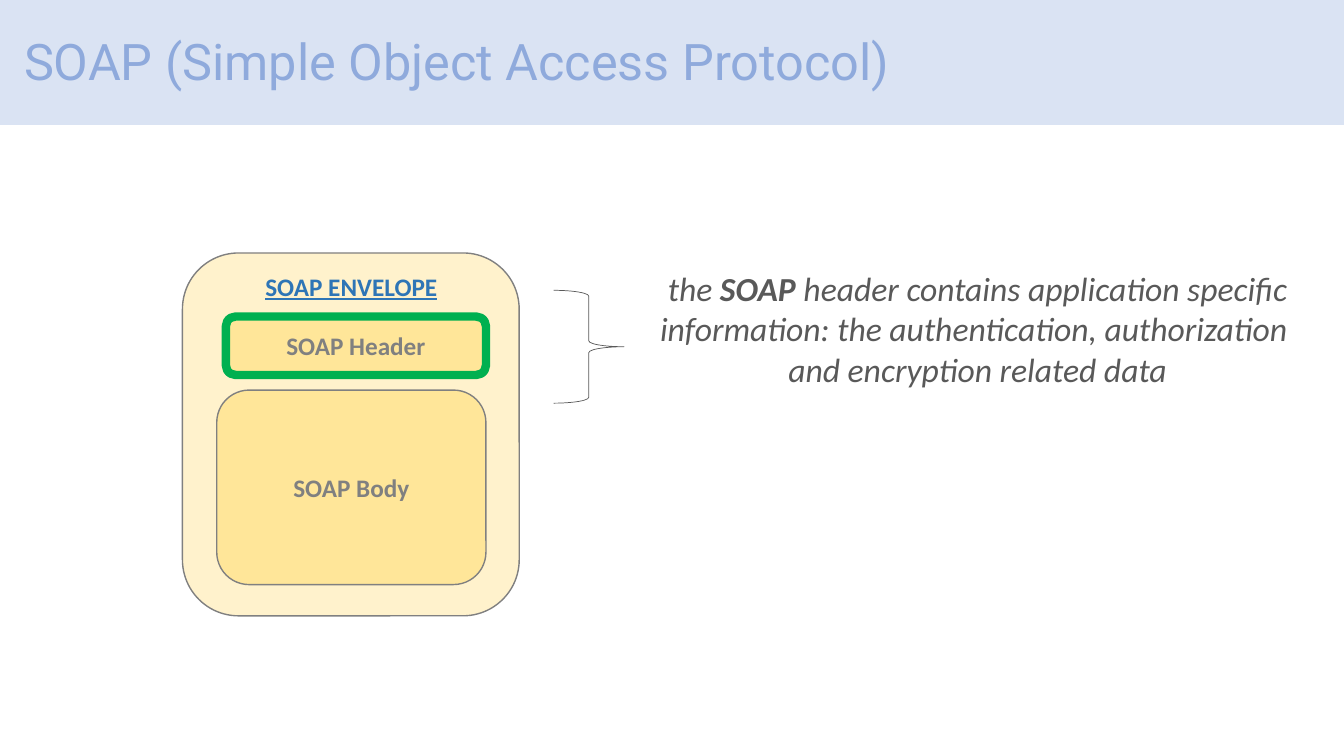
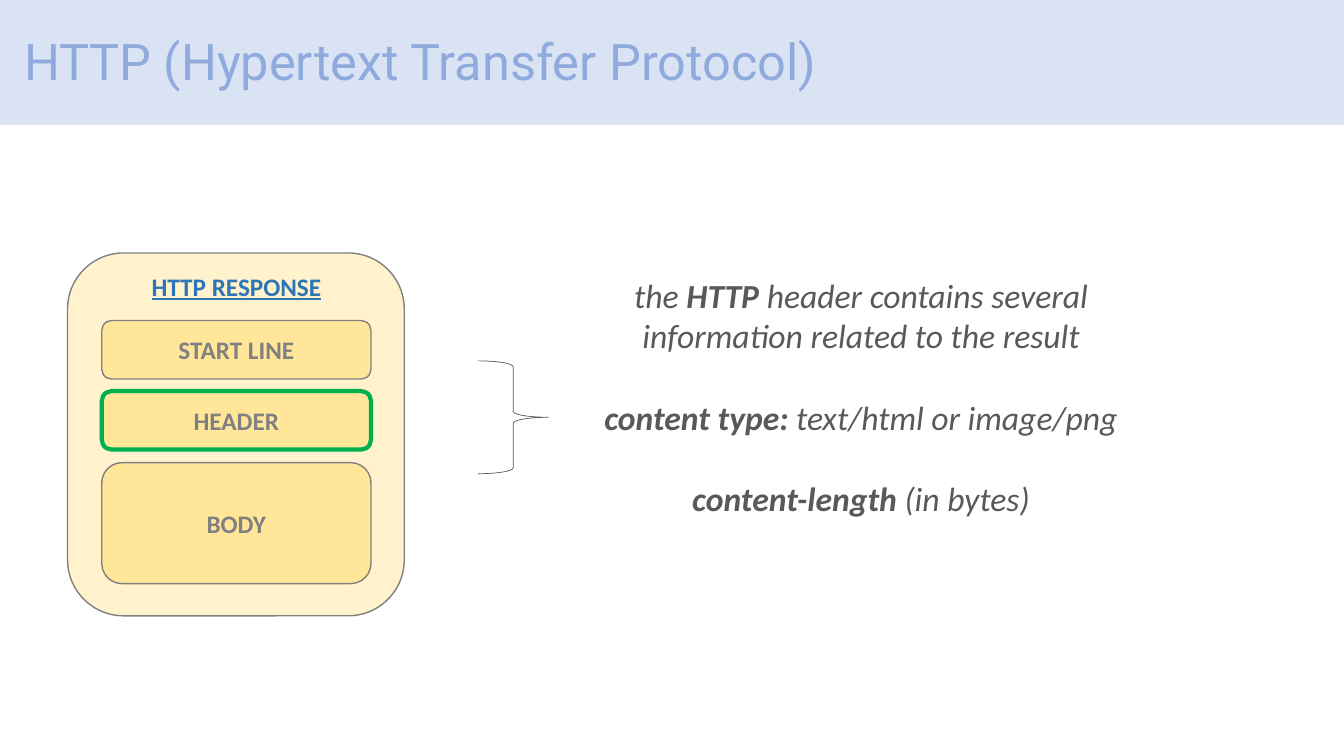
from dataclasses import dataclass

from pptx import Presentation
from pptx.dml.color import RGBColor
from pptx.enum.shapes import MSO_SHAPE
from pptx.enum.text import MSO_ANCHOR, PP_ALIGN
from pptx.shapes.autoshape import Shape
from pptx.slide import Slide
from pptx.text.text import Font
from pptx.util import Inches, Pt

RECTANGLE = MSO_SHAPE.RECTANGLE
ROUNDED = MSO_SHAPE.ROUNDED_RECTANGLE
BRACE = MSO_SHAPE.RIGHT_BRACE
MIDDLE = MSO_ANCHOR.MIDDLE
CENTER = PP_ALIGN.CENTER
BLANK_LAYOUT = 6


@dataclass(frozen=True)
class Theme:
    band: str = "DAE3F3"
    band_line: str = "FFFFFF"
    title: str = "8FAADC"
    envelope: str = "FFF2CC"
    block: str = "FFE699"
    outline: str = "808080"
    highlight: str = "00B050"
    heading: str = "2E75B6"
    note: str = "595959"
    title_font: str = "Roboto"
    body_font: str = "Calibri"
    title_size: float = 36
    label_size: float = 18
    note_size: float = 24
    note_gap: float = 29.3


THEME = Theme()


@dataclass(frozen=True)
class Box:
    left: float
    top: float
    width: float
    height: float


@dataclass(frozen=True)
class Block:
    """A part of the message; its inset is measured from the envelope's left edge."""
    label: str
    top: float
    height: float
    inset: float = 0.34
    width: float = 2.67
    line_color: str = THEME.outline
    line_width: float = 1


@dataclass(frozen=True)
class NoteLine:
    runs: tuple[tuple[str, bool], ...]
    new_section: bool = False


@dataclass(frozen=True)
class MessageSlide:
    title: str
    heading: str
    envelope_left: float
    blocks: tuple[Block, ...]
    brace_left: float
    brace_top: float
    note_box: Box
    note: tuple[NoteLine, ...]


SLIDES = (
    MessageSlide(
        title="SOAP (Simple Object Access Protocol)",
        heading="SOAP ENVELOPE",
        envelope_left=1.81,
        blocks=(
            Block("SOAP Header", 3.14, 0.58, inset=0.43, width=2.58,
                  line_color=THEME.highlight, line_width=6),
            Block("SOAP Body", 3.87, 1.93),
        ),
        brace_left=5.49,
        brace_top=2.88,
        note_box=Box(6.4, 2.61, 6.59, 1.72),
        note=(
            NoteLine((("the ", False), ("SOAP", True),
                      (" header contains application specific", False))),
            NoteLine((("information: the authentication, authorization ", False),)),
            NoteLine((("and encryption related data", False),)),
        ),
    ),
    MessageSlide(
        title="HTTP (Hypertext Transfer Protocol)",
        heading="HTTP RESPONSE",
        envelope_left=0.67,
        blocks=(
            Block("START LINE", 3.18, 0.58),
            Block("HEADER", 3.88, 0.58, line_color=THEME.highlight, line_width=3),
            Block("BODY", 4.59, 1.2),
        ),
        brace_left=4.74,
        brace_top=3.58,
        note_box=Box(5.87, 2.68, 5.34, 2.93),
        note=(
            NoteLine((("the ", False), ("HTTP", True),
                      (" header contains several", False))),
            NoteLine((("information related to the result", False),)),
            NoteLine((("content type: ", True), ("text/html or image/png", False)),
                     new_section=True),
            NoteLine((("content-length", True), (" (in bytes)", False)),
                     new_section=True),
        ),
    ),
)


def style_font(font: Font, name: str, size: float, color: str, bold: bool = False) -> None:
    font.name = name
    font.size = Pt(size)
    font.color.rgb = RGBColor.from_string(color)
    font.bold = bold


def add_outlined_shape(slide: Slide, kind: MSO_SHAPE, box: Box, fill: str | None,
                       line_color: str, line_width: float = 1) -> Shape:
    shape = slide.shapes.add_shape(kind, Inches(box.left), Inches(box.top),
                                   Inches(box.width), Inches(box.height))
    shape.shadow.inherit = False
    if fill is None:
        shape.fill.background()
    else:
        shape.fill.solid()
        shape.fill.fore_color.rgb = RGBColor.from_string(fill)
    shape.line.color.rgb = RGBColor.from_string(line_color)
    shape.line.width = Pt(line_width)
    return shape


def add_text_box(slide: Slide, box: Box) -> Shape:
    text_box = slide.shapes.add_textbox(Inches(box.left), Inches(box.top),
                                        Inches(box.width), Inches(box.height))
    text_box.text_frame.word_wrap = False
    return text_box


def add_title_band(slide: Slide, title: str) -> None:
    add_outlined_shape(slide, RECTANGLE, Box(-0.14, -0.04, 13.57, 1.29),
                       THEME.band, THEME.band_line)
    text_frame = add_text_box(slide, Box(0.14, -0.09, 11.5, 1.45)).text_frame
    text_frame.word_wrap = True
    text_frame.vertical_anchor = MIDDLE
    text_frame.text = title
    paragraph = text_frame.paragraphs[0]
    paragraph.line_spacing = 0.9
    style_font(paragraph.runs[0].font, THEME.title_font, THEME.title_size, THEME.title)


def add_label(shape: Shape, label: str, color: str, underline: bool = False) -> None:
    shape.text_frame.text = label
    paragraph = shape.text_frame.paragraphs[0]
    paragraph.alignment = CENTER
    font = paragraph.runs[0].font
    style_font(font, THEME.body_font, THEME.label_size, color, bold=True)
    font.underline = underline


def add_message(slide: Slide, content: MessageSlide) -> None:
    """Draw the envelope with its heading and blocks."""
    envelope = Box(content.envelope_left, 2.51, 3.34, 3.6)
    add_outlined_shape(slide, ROUNDED, envelope, THEME.envelope, THEME.outline)
    heading = add_text_box(slide, Box(envelope.left + 0.72, 2.64, 1.91, 0.4))
    add_label(heading, content.heading, THEME.heading, underline=True)
    for block in content.blocks:
        box = Box(envelope.left + block.inset, block.top, block.width, block.height)
        shape = add_outlined_shape(slide, ROUNDED, box, THEME.block,
                                   block.line_color, block.line_width)
        shape.text_frame.vertical_anchor = MIDDLE
        add_label(shape, block.label, THEME.outline)


def add_note(slide: Slide, box: Box, lines: tuple[NoteLine, ...]) -> None:
    text_frame = add_text_box(slide, box).text_frame
    for index, line in enumerate(lines):
        paragraph = text_frame.add_paragraph() if index else text_frame.paragraphs[0]
        paragraph.alignment = CENTER
        if line.new_section:
            paragraph.space_before = Pt(THEME.note_gap)
        for text, bold in line.runs:
            run = paragraph.add_run()
            run.text = text
            style_font(run.font, THEME.body_font, THEME.note_size, THEME.note, bold)
            run.font.italic = True


def add_message_slide(presentation: Presentation, content: MessageSlide) -> None:
    slide = presentation.slides.add_slide(presentation.slide_layouts[BLANK_LAYOUT])
    add_title_band(slide, content.title)
    add_message(slide, content)
    add_outlined_shape(slide, BRACE, Box(content.brace_left, content.brace_top, 0.7, 1.12),
                       None, THEME.note, 0.5)
    add_note(slide, content.note_box, content.note)


def main() -> None:
    presentation = Presentation()
    presentation.slide_width = Inches(13.33)
    presentation.slide_height = Inches(7.5)
    for content in SLIDES:
        add_message_slide(presentation, content)
    presentation.save("out.pptx")


if __name__ == "__main__":
    main()
